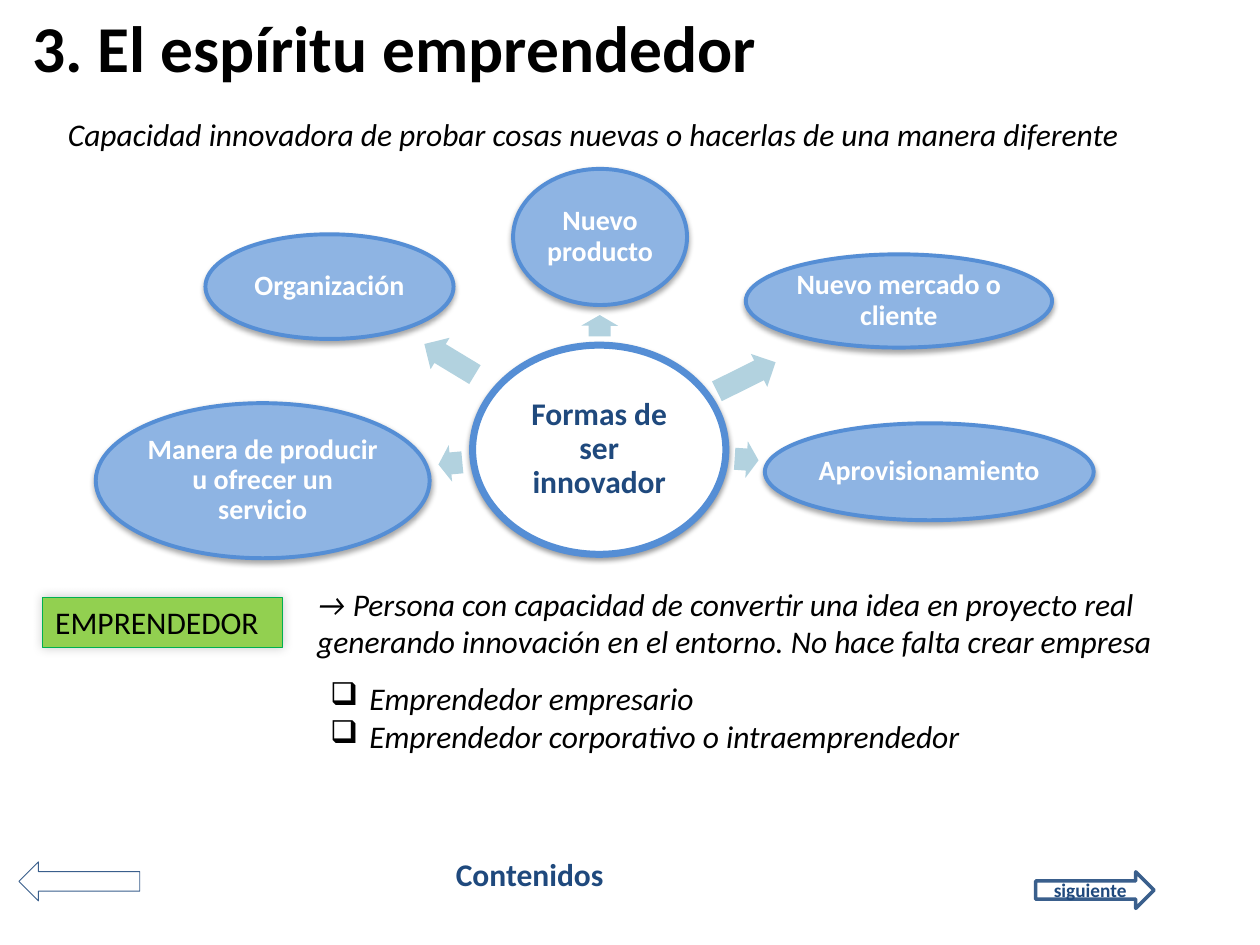
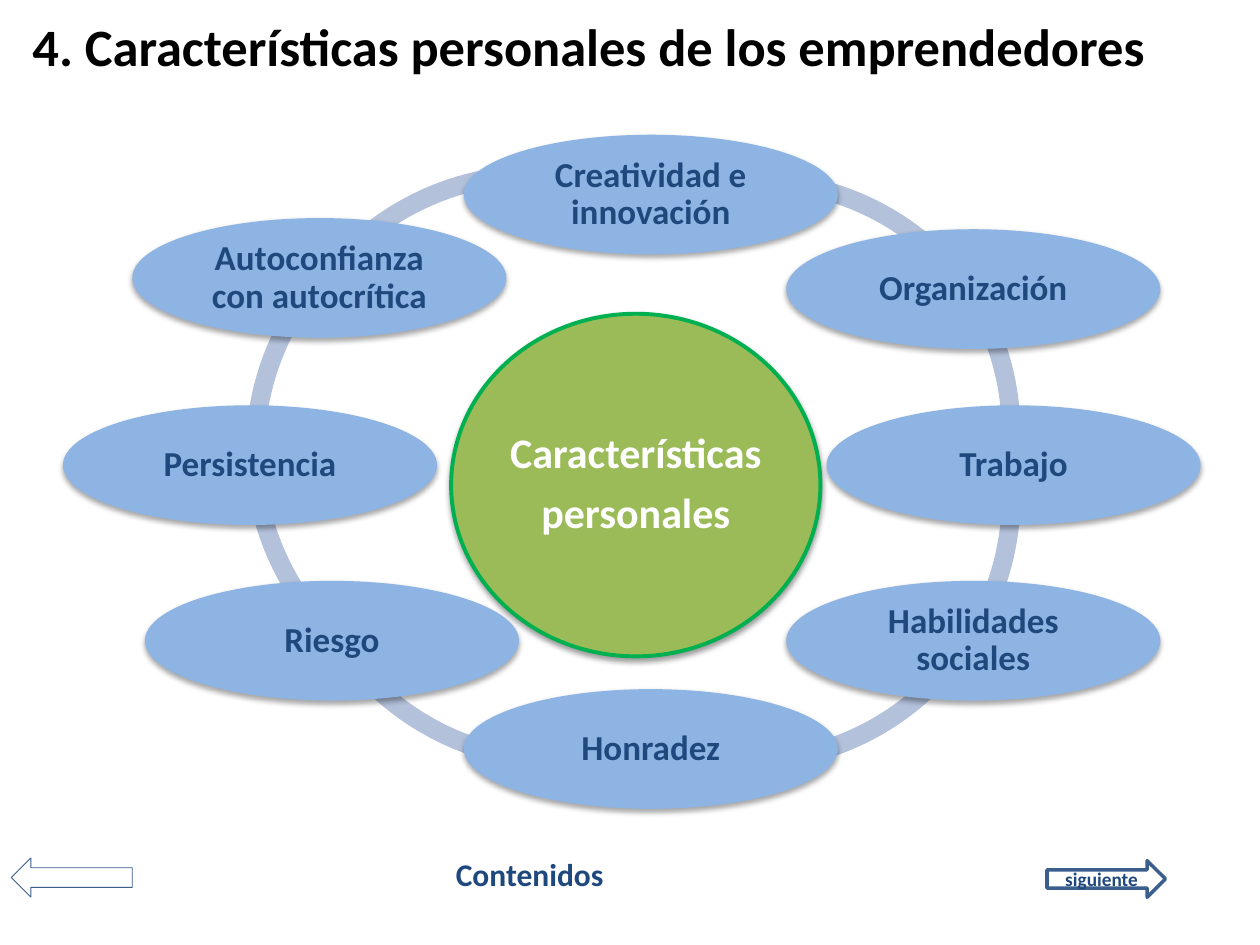
from math import atan2, cos, degrees, hypot, sin

from lxml.etree import SubElement
from pptx import Presentation
from pptx.dml.color import RGBColor
from pptx.enum.shapes import MSO_SHAPE
from pptx.enum.text import MSO_ANCHOR, PP_ALIGN
from pptx.oxml.ns import qn
from pptx.util import Pt

FONT = "Calibri"
BLACK, WHITE, NAVY = "000000", "FFFFFF", "1F497D"
SKY, BLUE, PALE, RING = "8EB4E3", "558ED5", "B2D2DF", "B3C1DB"
LIME, OLIVE, GREEN, STEEL = "92D050", "9BBB59", "00B050", "3A5F8C"

# Shadows: opacity %, blur, distance, direction in degrees
HUB_SHADE = (38, 3.1, 1.6, 90)
NODE_SHADE = (35, 3.1, 1.8, 90)
TAG_SHADE = (20, 6, 0, 225)


def color(code):
    """Turn a hex string into a colour."""
    return RGBColor.from_string(code)


def shade(shape, alpha, blur, dist, angle):
    """Give a shape a soft black outer shadow."""
    shape.shadow.inherit = False
    effects = shape._element.spPr.find(qn("a:effectLst"))
    outer = SubElement(effects, qn("a:outerShdw"), blurRad=str(Pt(blur)),
                       dist=str(Pt(dist)), dir=str(angle * 60000),
                       rotWithShape="0")
    black = SubElement(outer, qn("a:srgbClr"), val=BLACK)
    SubElement(black, qn("a:alpha"), val=str(alpha * 1000))


def draw(slide, kind, box, fill=None, line=None, shadow=None):
    """Add a preset shape; line is a (colour, width) pair."""
    shape = slide.shapes.add_shape(kind, *[Pt(v) for v in box])
    if fill:
        shape.fill.solid()
        shape.fill.fore_color.rgb = color(fill)
    else:
        shape.fill.background()
    if line:
        shape.line.color.rgb = color(line[0])
        shape.line.width = Pt(line[1])
    else:
        shape.line.fill.background()
    if shadow:
        shade(shape, *shadow)
    else:
        shape.shadow.inherit = False
    return shape


def write(shape, lines, size, ink=BLACK, bold=False, italic=False,
          align=PP_ALIGN.LEFT, anchor=MSO_ANCHOR.TOP):
    """Fill a shape with one paragraph per line and return its frame."""
    frame = shape.text_frame
    frame.word_wrap = True
    frame.vertical_anchor = anchor
    for i, line in enumerate(lines):
        para = frame.add_paragraph() if i else frame.paragraphs[0]
        para.alignment = align
        run = para.add_run()
        run.text = line
        font = run.font
        font.name, font.size = FONT, Pt(size)
        font.bold, font.italic = bold, italic
        font.color.rgb = color(ink)
    return frame


def label(slide, box, lines, size=18, **style):
    """Add a text box."""
    shape = slide.shapes.add_textbox(*[Pt(v) for v in box])
    return write(shape, lines, size, **style)


def oval(slide, box, lines, size, ink, inset, fill, line, shadow):
    """Add an ellipse with tight, centred bold text."""
    shape = draw(slide, MSO_SHAPE.OVAL, box, fill, line, shadow)
    frame = write(shape, lines, size, ink, bold=True,
                  align=PP_ALIGN.CENTER, anchor=MSO_ANCHOR.MIDDLE)
    frame.margin_left = frame.margin_right = Pt(inset)
    frame.margin_top = frame.margin_bottom = Pt(inset)
    for para in frame.paragraphs:
        para.line_spacing = 0.9
        para.space_after = Pt(0.35 * size)


def start(deck, title, size, width, back, ahead):
    """Add a slide with its title and navigation row."""
    slide = deck.slides.add_slide(deck.slide_layouts[6])
    label(slide, (11.5, 3.6, width, 45.4), [title], size, bold=True,
          anchor=MSO_ANCHOR.MIDDLE)
    label(slide, (253.4, 485.3, 104, 29), ["Contenidos"], ink=NAVY, bold=True)
    draw(slide, MSO_SHAPE.LEFT_ARROW, (*back, 69.1, 22.3), line=(STEEL, 0.5))
    arrow = draw(slide, MSO_SHAPE.RIGHT_ARROW, (*ahead, 67.7, 20.9),
                 line=(STEEL, 2))
    write(arrow, ["siguiente"], 11, NAVY, bold=True, align=PP_ALIGN.CENTER,
          anchor=MSO_ANCHOR.MIDDLE)
    return slide


def spokes(slide, left, top):
    """Draw the hub with its ways to innovate, and arrows out to them."""
    midx, midy, wide, high = left + 288.4, top + 161, 144.7, 119.5
    oval(slide, (midx - wide / 2, midy - high / 2, wide, high),
         ["Formas de ser innovador"], 18, NAVY, 2, WHITE, (BLUE, 4), HUB_SHADE)
    # Text, node centre from hub centre, node size, arrow reach and length
    nodes = [
        ("Nuevo producto", 0.5, -121.6, 99.4, 77.8, 70.9, 12.2),
        ("Nuevo mercado o cliente", 171.3, -85, 175, 53.3, 93.8, 37.4),
        ("Aprovisionamiento", 188.6, 12.6, 187.9, 55.4, 84.4, 13.7),
        ("Manera de producir u ofrecer un servicio",
         -192.3, 17.7, 190.8, 88.6, 85.4, 13.7),
        ("Organización", -154.1, -93.2, 141.8, 59.8, 99.9, 33.8),
    ]
    thick = 21
    for text, dx, dy, w, h, reach, size in nodes:
        angle = atan2(dy, dx)
        x = midx + reach * cos(angle) - size / 2
        y = midy + reach * sin(angle) - thick / 2
        arrow = draw(slide, MSO_SHAPE.RIGHT_ARROW, (x, y, size, thick), PALE)
        arrow.adjustments[0], arrow.adjustments[1] = 0.6, 0.5
        arrow.rotation = degrees(angle) % 360
        oval(slide, (midx + dx - w / 2, midy + dy - h / 2, w, h), [text], 16,
             WHITE, 1.5, SKY, (BLUE, 2.25), NODE_SHADE)


def define(slide, left, top):
    """Place the tag, its definition and the two kinds below it."""
    tag = draw(slide, MSO_SHAPE.RECTANGLE, (left, top + 10.8, 136.8, 28.8),
               LIME, (GREEN, 0.75), TAG_SHADE)
    write(tag, ["EMPRENDEDOR"], 18)
    label(slide, (left + 149.7, top, 522, 51),
          ["→ Persona con capacidad de convertir una idea en proyecto real "
           "generando innovación en el entorno. No hace falta crear empresa"],
          italic=True)
    kinds = label(slide, (left + 157, top + 54, 420, 51),
                  ["Emprendedor empresario",
                   "Emprendedor corporativo o intraemprendedor"], italic=True)
    for para in kinds.paragraphs:
        props = para._p.get_or_add_pPr()
        props.set("marL", str(Pt(22.5)))
        props.set("indent", str(-Pt(22.5)))
        SubElement(props, qn("a:buChar"), char="❑")


def wheel(slide, left, top):
    """Draw the ring of traits around the central circle."""
    # Offset, then start and end angle in degrees
    arcs = [
        (112.3, 17.3, 216.86, 295.07), (104.4, 23.8, 178.72, 221.76),
        (103.7, 20.9, 134.21, 176.18), (126, 47.6, 70.31, 147.16),
        (231.8, 48.3, 32.6, 110.28), (231.8, 49, 353.37, 32.32),
        (231.8, 13, 327.72, 6.67), (236.9, 20.9, 247.88, 324.4),
    ]
    for x, y, begin, end in arcs:
        arc = draw(slide, MSO_SHAPE.BLOCK_ARC,
                   (left + x, top + y, 315.4, 315.4), RING)
        # Angles are stored in 60000ths, adjustments in 100000ths
        for i, value in enumerate((begin * 0.6, end * 0.6, 0.034)):
            arc.adjustments[i] = value
    oval(slide, (left + 221.8, top + 102.3, 211, 195.8),
         ["Características", "personales"], 24, WHITE, 2, OLIVE,
         (GREEN, 2.25), HUB_SHADE)
    traits = [
        ("Creatividad e innovación", 229, 0),
        ("Organización", 413.3, 54),
        ("Trabajo", 436.3, 154.6),
        ("Habilidades sociales", 413.3, 254.9),
        ("Honradez", 229, 316.8),
        ("Riesgo", 46.8, 254.9),
        ("Persistencia", 0, 154.6),
        ("Autoconfianza con autocrítica", 39.6, 47.6),
    ]
    for text, x, y in traits:
        oval(slide, (left + x, top + y, 213.8, 68.4), [text], 20, NAVY, 2,
             SKY, None, NODE_SHADE)


def build():
    """Build and save both slides."""
    deck = Presentation()
    deck.slide_width, deck.slide_height = Pt(720), Pt(540)

    spirit = start(deck, "3. El espíritu emprendedor", 37.4, 648,
                   (10.8, 492.5), (591.8, 498.2))
    label(spirit, (31.7, 61.9, 641.5, 29),
          ["Capacidad innovadora de probar cosas nuevas o hacerlas de una "
           "manera diferente"], italic=True)
    spokes(spirit, 54, 96)
    define(spirit, 24.5, 330.5)

    people = start(deck, "4. Características personales de los emprendedores",
                   30, 674.6, (6.5, 490.3), (598.3, 491.8))
    wheel(people, 36, 77)

    deck.save("out.pptx")


build()
